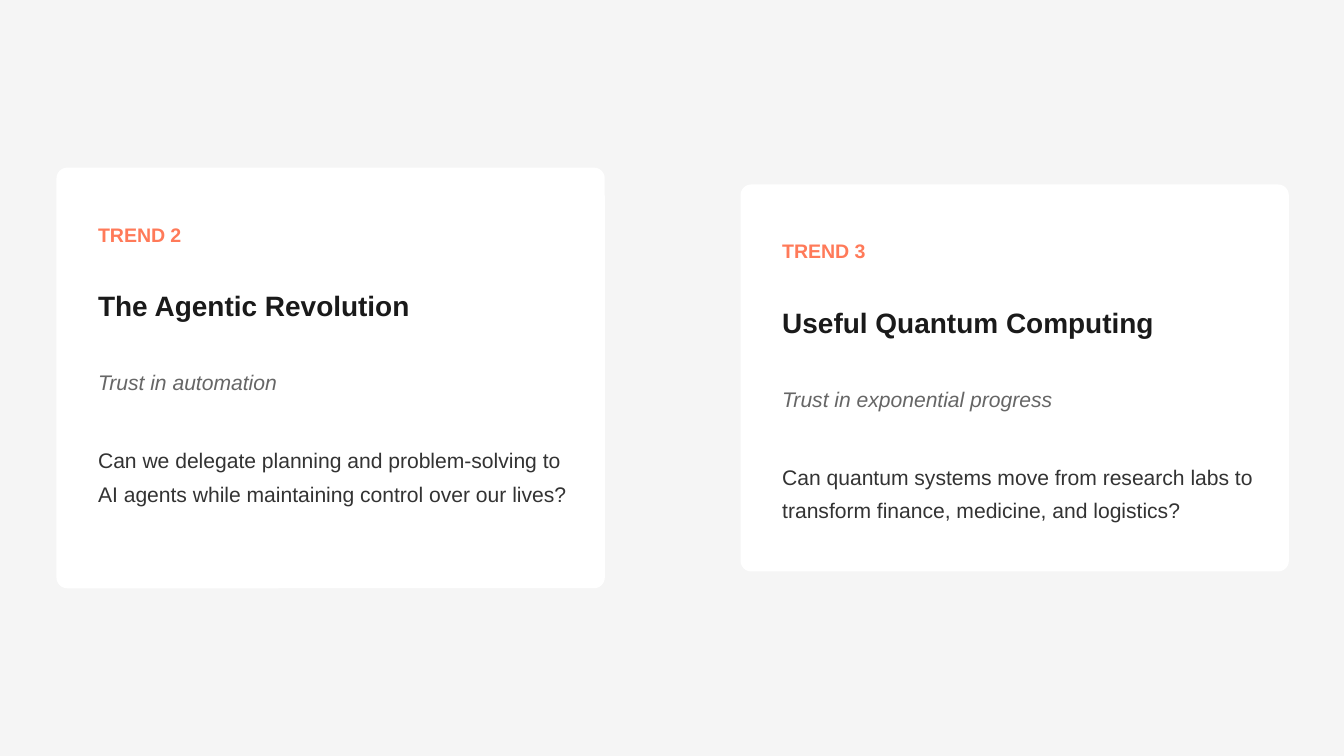
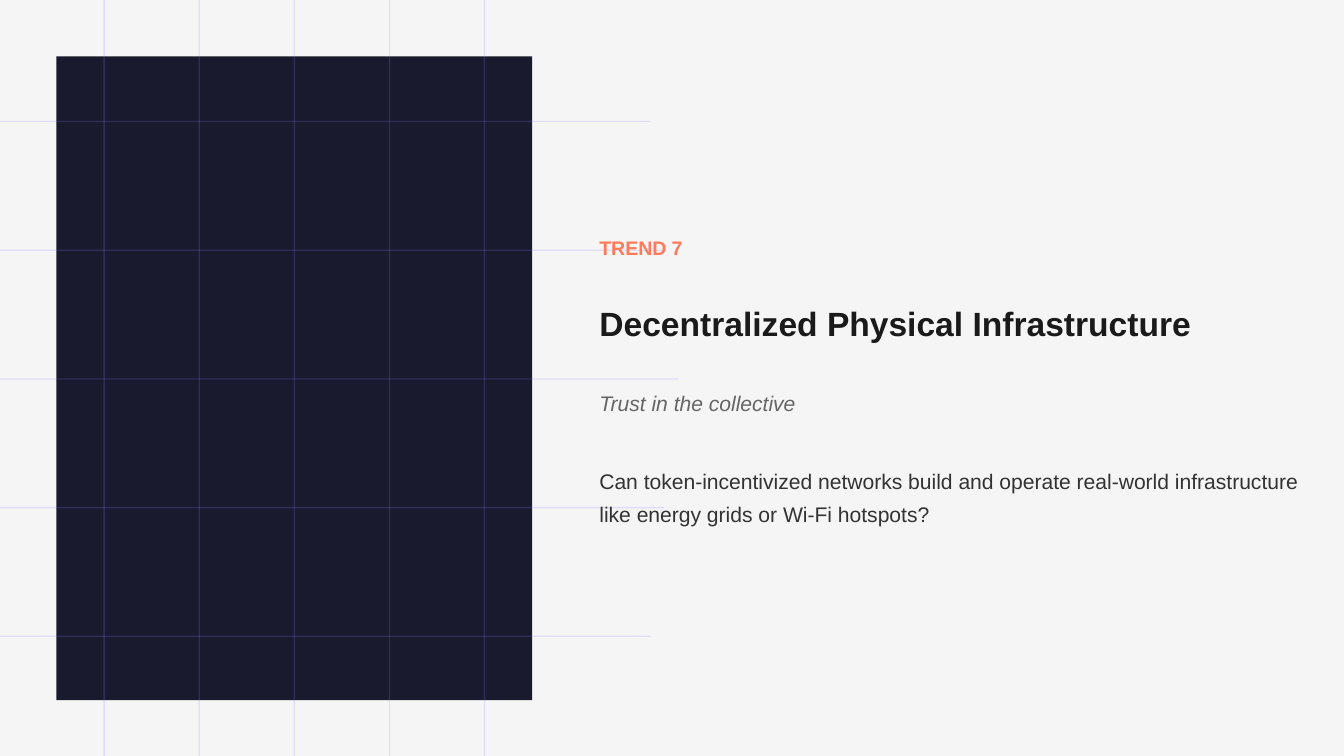
from pptx import Presentation
from pptx.dml.color import RGBColor
from pptx.enum import shapes, text
from pptx.oxml import parse_xml
from pptx.oxml.ns import nsdecls
from pptx.util import Inches, Pt

SLIDE_WIDTH = 10
SLIDE_HEIGHT = SLIDE_WIDTH * 9 / 16
FONT = "Arial"
BACKGROUND, CARD, PANEL, GRID = "F5F5F5", "FFFFFF", "1A1A2E", "8B7FFF"
STYLES = {
    "label": dict(size=10.5, line=16.8, color="FF7A59", bold=True),
    "card heading": dict(size=15, line=19.5, color="1A1A1A", bold=True),
    "slide heading": dict(size=18, line=23.4, color="1A1A1A", bold=True),
    "subtitle": dict(size=11.25, line=18, color="666666", italic=True),
    "question": dict(size=11.25, line=18, color="333333"),
}


def rgb(value):
    return RGBColor.from_string(value)


def add_block(slide, kind, box, color, alpha=None):
    """Add a filled shape without outline; alpha is opacity in percent."""
    block = slide.shapes.add_shape(kind, *map(Inches, box))
    block.shadow.inherit = False
    block.line.fill.background()
    block.fill.solid()
    block.fill.fore_color.rgb = rgb(color)
    if alpha is not None:
        color_node = block._element.spPr.find(".//{*}srgbClr")
        color_node.append(parse_xml(f'<a:alpha {nsdecls("a")} val="{alpha * 1000}"/>'))
    return block


def write(holder, words, box, style):
    """Place a text holder and fill it with one styled paragraph."""
    holder.left, holder.top, holder.width, holder.height = map(Inches, box)
    frame = holder.text_frame
    settings = dict(word_wrap=True, auto_size=text.MSO_AUTO_SIZE.NONE,
                    vertical_anchor=text.MSO_ANCHOR.TOP,
                    margin_left=0, margin_top=0, margin_right=0, margin_bottom=0)
    for name, value in settings.items():
        setattr(frame, name, value)
    paragraph = frame.paragraphs[0]
    paragraph.alignment = text.PP_ALIGN.LEFT
    paragraph.line_spacing = Pt(style["line"])
    run = paragraph.add_run()
    run.text = words
    font = dict(name=FONT, size=Pt(style["size"]),
                bold=style.get("bold", False), italic=style.get("italic", False))
    for name, value in font.items():
        setattr(run.font, name, value)
    run.font.color.rgb = rgb(style["color"])


def add_trend(slide, trend, box, heading_style="card heading", heading_size=None,
              question_height=0.5, is_title=False):
    """Stack label, heading, subtitle and question from the top of (left, top, width)."""
    left, top, width = box
    heading_width, heading_height = heading_size or (width, 0.27)
    rows = [("label", width, 0.23, 0.3),
            (heading_style, heading_width, heading_height, 0.29),
            ("subtitle", width, 0.25, 0.33),
            ("question", width, question_height, 0)]
    for words, (style, row_width, height, gap) in zip(trend, rows):
        if is_title and style == heading_style:
            holder = slide.shapes.title
            slide.shapes._spTree.append(holder._element)  # bring in front of the card
        else:
            holder = slide.shapes.add_textbox(0, 0, 0, 0)
        write(holder, words, (left, top, row_width, height), STYLES[style])
        top += height + gap


def add_card(slide, trend, left, height, **options):
    """Draw a card centred on the slide's height, with its trend inside."""
    width = 4.08
    top = (SLIDE_HEIGHT - height) / 2
    card = add_block(slide, shapes.MSO_SHAPE.ROUNDED_RECTANGLE,
                     (left, top, width, height), CARD)
    card.adjustments[0] = 0.08 / min(width, height)
    add_trend(slide, trend, (left + 0.31, top + 0.35, width - 0.56), **options)


def add_grid(slide):
    """Draw five rows and five columns of faint lines with staggered starts."""
    thickness = 0.01
    row_starts = [-0.47, -0.36, -0.26, -0.37, -0.47]
    column_starts = [-0.78, -0.65, -0.63, -0.76, -0.67]
    row_pitch, column_pitch = 3.83 / 4, 2.83 / 4
    rows = [(start, 0.9 + row_pitch * i, 5.31, thickness)
            for i, start in enumerate(row_starts)]
    columns = [(0.77 + column_pitch * i, start, thickness, 7.19)
               for i, start in enumerate(column_starts)]
    for line in rows + columns:
        add_block(slide, shapes.MSO_SHAPE.RECTANGLE, line, GRID, alpha=20)


def build_cards_slide(slide):
    add_card(slide, ("TREND 2", "The Agentic Revolution", "Trust in automation",
                     "Can we delegate planning and problem-solving to AI agents "
                     "while maintaining control over our lives?"),
             left=0.42, height=3.13, question_height=0.75, is_title=True)
    add_card(slide, ("TREND 3", "Useful Quantum Computing", "Trust in exponential progress",
                     "Can quantum systems move from research labs to transform "
                     "finance, medicine, and logistics?"),
             left=5.51, height=2.88)


def build_panel_slide(slide):
    add_block(slide, shapes.MSO_SHAPE.RECTANGLE, (0.42, 0.42, 3.54, 4.79), PANEL)
    add_grid(slide)
    add_trend(slide, ("TREND 7", "Decentralized Physical Infrastructure",
                      "Trust in the collective",
                      "Can token-incentivized networks build and operate real-world "
                      "infrastructure like energy grids or Wi-Fi hotspots?"),
              (4.46, 1.7, 5.23), heading_style="slide heading",
              heading_size=(4.49, 0.32), is_title=True)


def main():
    deck = Presentation()
    deck.slide_width, deck.slide_height = Inches(SLIDE_WIDTH), Inches(SLIDE_HEIGHT)
    backdrop = deck.slide_master.background.fill
    backdrop.solid()
    backdrop.fore_color.rgb = rgb(BACKGROUND)
    title_only = deck.slide_layouts[5]
    for build in (build_cards_slide, build_panel_slide):
        build(deck.slides.add_slide(title_only))
    deck.save("out.pptx")


if __name__ == "__main__":
    main()
